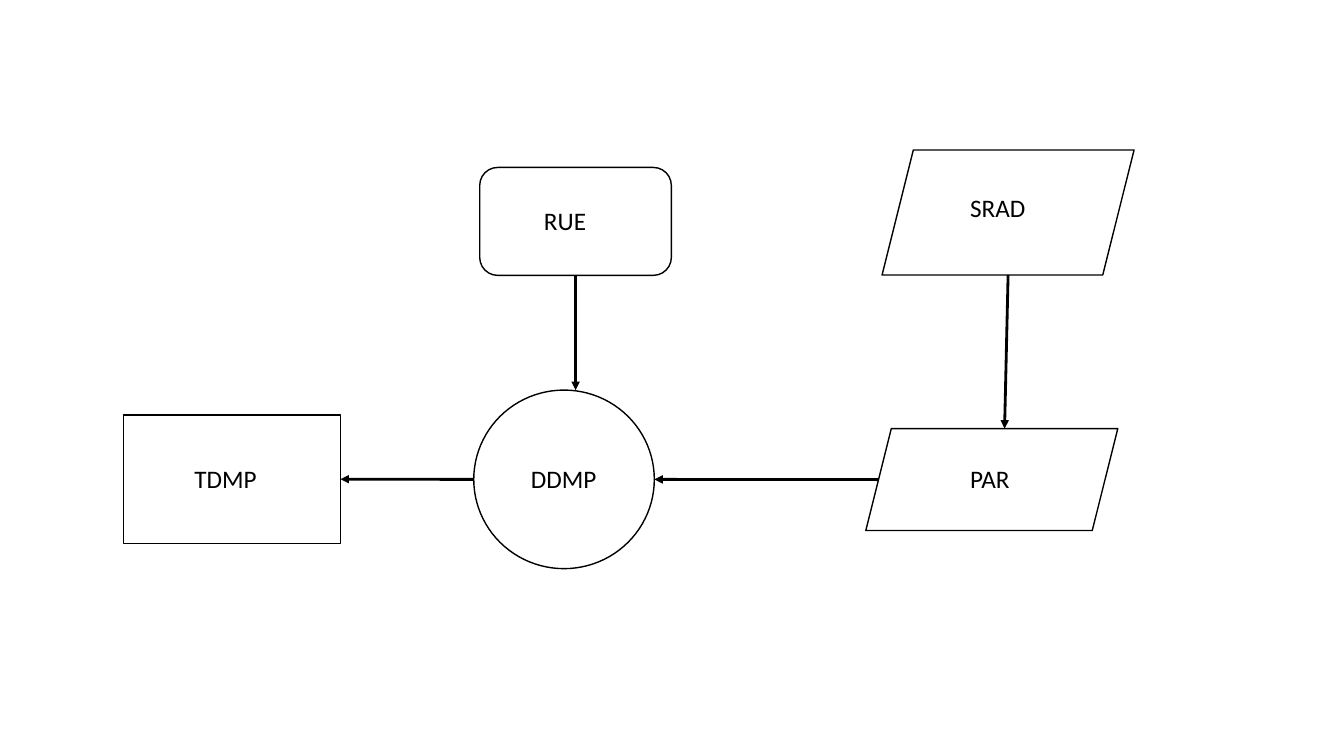
from lxml import etree
from pptx import Presentation
from pptx.dml.color import RGBColor
from pptx.enum.shapes import MSO_CONNECTOR as CONN, MSO_SHAPE as SHAPE
from pptx.oxml.ns import qn
from pptx.util import Cm, Pt

COLORS = {"fill": "FFFFFF", "ink": "000000"}
FONT = "Calibri"
LABEL_H = 1.02

# name: shape, (left, top, width, height), label (left, top, width), all in cm
NODES = {
    "SRAD": (SHAPE.PARALLELOGRAM, (22.23, 3.78, 6.35, 3.15), (24.2, 4.72, 2.41)),
    "PAR": (SHAPE.PARALLELOGRAM, (21.82, 10.8, 6.35, 2.57), (24.2, 11.56, 2.41)),
    "DDMP": (SHAPE.OVAL, (11.94, 9.83, 4.55, 4.5), (13.13, 11.56, 2.77)),
    "RUE": (SHAPE.FLOWCHART_ALTERNATE_PROCESS, (12.09, 4.22, 4.83, 2.72),
            (13.46, 5.05, 2.08)),
    "TDMP": (SHAPE.RECTANGLE, (3.12, 10.46, 5.46, 3.23), (4.65, 11.56, 2.41)),
}


def color(key):
    """Return a named colour."""
    return RGBColor.from_string(COLORS[key])


def site(name, side):
    """Return the point in cm where an arrow meets a side of a node."""
    kind, (x, y, w, h), _ = NODES[name]
    slant = h / 8 if kind == SHAPE.PARALLELOGRAM else 0
    return {
        "top": (x + w / 2 + slant, y),
        "bottom": (x + w / 2, y + h),
        "left": (x + slant, y + h / 2),
        "right": (x + w - slant, y + h / 2),
    }[side]


def add_node(slide, name):
    """Draw a node and its label as one group."""
    kind, box, (x, y, w) = NODES[name]
    group = slide.shapes.add_group_shape()
    sp = group.shapes.add_shape(kind, *map(Cm, box))
    sp.shadow.inherit = False
    sp.fill.solid()
    sp.fill.fore_color.rgb = color("fill")
    sp.line.color.rgb = color("ink")
    sp.line.width = Pt(1)

    tf = group.shapes.add_textbox(Cm(x), Cm(y), Cm(w), Cm(LABEL_H)).text_frame
    tf.word_wrap = True
    r = tf.paragraphs[0].add_run()
    r.text = name
    r.font.name = FONT
    r.font.size = Pt(18)
    r.font.color.rgb = color("ink")


def add_arrow(slide, start, end):
    """Draw a straight arrow between two points in cm."""
    line = slide.shapes.add_connector(CONN.STRAIGHT, *map(Cm, start + end))
    line.line.color.rgb = color("ink")
    line.line.width = Pt(2)
    etree.SubElement(line.line._get_or_add_ln(), qn("a:tailEnd"), type="triangle")
    etree.SubElement(line._element.spPr, qn("a:effectLst"))


prs = Presentation()
prs.slide_width, prs.slide_height = Cm(33.87), Cm(19.05)
slide = prs.slides.add_slide(prs.slide_layouts[6])

for name in NODES:
    add_node(slide, name)

rue_out = site("RUE", "bottom")
ddmp_top = site("DDMP", "top")
ARROWS = [
    (site("SRAD", "bottom"), site("PAR", "top")),
    (site("PAR", "left"), site("DDMP", "right")),
    (rue_out, (rue_out[0], ddmp_top[1])),
    (site("DDMP", "left"), site("TDMP", "right")),
]
for start, end in ARROWS:
    add_arrow(slide, start, end)

prs.save("out.pptx")
